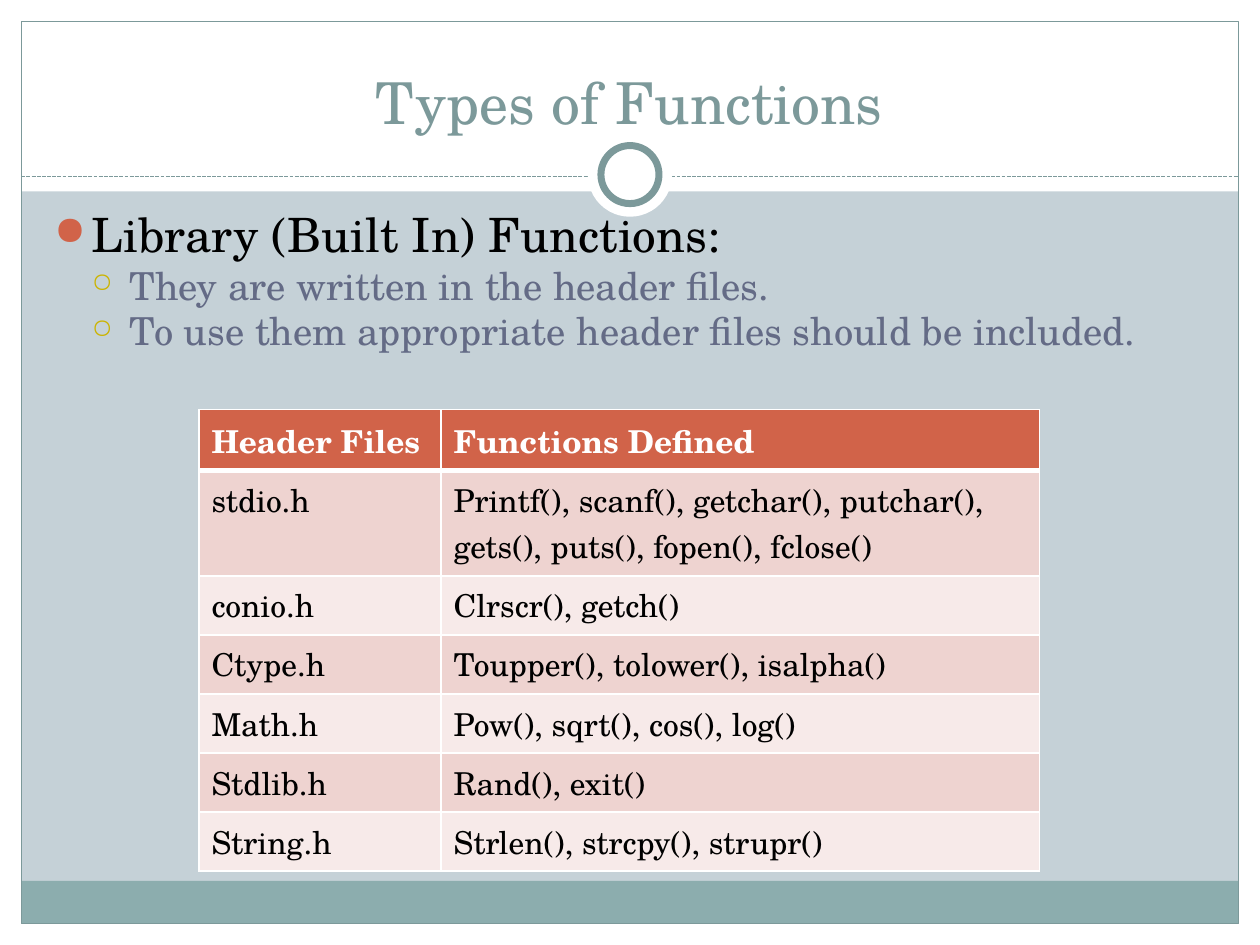
from lxml.etree import SubElement
from pptx import Presentation
from pptx.dml.color import RGBColor
from pptx.enum.dml import MSO_LINE
from pptx.enum.shapes import MSO_CONNECTOR, MSO_SHAPE as Shape
from pptx.enum.text import MSO_ANCHOR, PP_ALIGN
from pptx.oxml import parse_xml
from pptx.oxml.ns import nsdecls, qn
from pptx.util import Cm, Pt

FACE = "TeX Gyre Schola"
WHITE = RGBColor(0xFF, 0xFF, 0xFF)
BLACK = RGBColor(0, 0, 0)
BACK = RGBColor(0xC5, 0xD1, 0xD7)
TEAL = RGBColor(0x7C, 0x99, 0x9A)
FOOT = RGBColor(0x8C, 0xAD, 0xAE)
RUST = RGBColor(0xD1, 0x63, 0x49)
GOLD = RGBColor(0xCC, 0xB4, 0x00)
SLATE = RGBColor(0x64, 0x6B, 0x86)
BANDS = RGBColor(0xEE, 0xD3, 0xD0), RGBColor(0xF7, 0xEA, 0xE9)

WIDE, HIGH = 25.4, 19.05
EDGE = 0.43
POINTS = [
    (0, "Library (Built In) Functions:"),
    (1, "They are written in the header files."),
    (1, "To use them appropriate header files should be included."),
]
LEVELS = [  # bullet, its colour, its size in percent, text size, text colour
    ("●", RUST, 85, 27, BLACK),
    ("○", GOLD, 70, 22, SLATE),
]
ROWS = [
    ("Header Files", "Functions Defined"),
    ("stdio.h", "Printf(), scanf(), getchar(), putchar(), gets(), puts(), fopen(), fclose()"),
    ("conio.h", "Clrscr(), getch()"),
    ("Ctype.h", "Toupper(), tolower(), isalpha()"),
    ("Math.h", "Pow(), sqrt(), cos(), log()"),
    ("Stdlib.h", "Rand(), exit()"),
    ("String.h", "Strlen(), strcpy(), strupr()"),
]


def lengths(*nums):
    return [Cm(n) for n in nums]


def style(para, size, color, bold=False):
    font = para.font
    font.name, font.size, font.bold = FACE, Pt(size), bold
    font.color.rgb = color


def block(slide, kind, box, fill=None, line=None, width=0.75):
    shape = slide.shapes.add_shape(kind, *lengths(*box))
    shape.shadow.inherit = False
    if fill is None:
        shape.fill.background()
    else:
        shape.fill.solid()
        shape.fill.fore_color.rgb = fill
    if line is None:
        shape.line.fill.background()
    else:
        shape.line.color.rgb = line
        shape.line.width = Pt(width)


def add_frame(slide, box):
    """White margins, foot band and outline."""
    x, y, w, h = box
    right, low = x + w - EDGE, y + h - EDGE
    for part in [(x, low, w, EDGE), (x, y, w, 3.86),
                 (x, y, EDGE, h), (right, y, EDGE, h)]:
        block(slide, Shape.RECTANGLE, part, WHITE)
    inner = w - 2 * EDGE
    block(slide, Shape.RECTANGLE, (x + EDGE, low - 0.86, inner, 0.86), FOOT)
    block(slide, Shape.RECTANGLE,
          (x + EDGE, y + EDGE, inner, h - 2 * EDGE), line=TEAL)


def add_rule(slide, box):
    """Dashed rule with a ring at its middle."""
    x, y, w, h = box
    mid = y + h / 2
    rule = slide.shapes.add_connector(
        MSO_CONNECTOR.STRAIGHT, *lengths(x, mid + 0.04, x + w, mid + 0.04))
    rule.line.color.rgb = TEAL
    rule.line.width = Pt(0.75)
    rule.line.dash_style = MSO_LINE.SQUARE_DOT
    SubElement(rule.element.spPr, qn("a:effectLst"))
    for size, line in [(h, None), (1.17, TEAL)]:
        spot = (x + (w - size) / 2, mid - size / 2, size, size)
        block(slide, Shape.OVAL, spot, WHITE, line, 4)


def set_title(slide, box, text):
    title = slide.shapes.title
    title.left, title.top, title.width, title.height = lengths(*box)
    title.element.getparent().append(title.element)  # in front of the frame
    frame = title.text_frame
    frame.text = text
    frame.vertical_anchor = MSO_ANCHOR.BOTTOM
    frame.margin_bottom = 0
    para = frame.paragraphs[0]
    para.alignment = PP_ALIGN.CENTER
    style(para, 33, TEAL)


def add_points(slide, box):
    frame = slide.shapes.add_textbox(*lengths(*box)).text_frame
    frame.word_wrap = True
    for i, (level, text) in enumerate(POINTS):
        para = frame.add_paragraph() if i else frame.paragraphs[0]
        para.text, para.level = text, level
        para.line_spacing, para.space_before = 0.8, Pt(5)
        mark, tint, scale, size, color = LEVELS[level]
        props = para._p.get_or_add_pPr()
        props.set("marL", str(Cm(0.76 * (level + 1))))
        props.set("indent", str(-Cm(0.76)))
        SubElement(SubElement(props, qn("a:buClr")), qn("a:srgbClr"), val=str(tint))
        SubElement(props, qn("a:buSzPct"), val=str(scale * 1000))
        SubElement(props, qn("a:buChar"), char=mark)
        style(para, size, color)


def set_borders(cell, top, bottom):
    props = cell._tc.get_or_add_tcPr()
    for i, (side, width) in enumerate(zip("LRTB", (1, 1, top, bottom))):
        props.insert(i, parse_xml(
            f'<a:ln{side} {nsdecls("a")} w="{Pt(width)}"><a:solidFill>'
            f'<a:srgbClr val="{WHITE}"/></a:solidFill></a:ln{side}>'))


def add_grid(slide, box):
    x, y, w, h = box
    table = slide.shapes.add_table(len(ROWS), 2, *lengths(*box)).table
    table.columns[0].width, table.columns[1].width = lengths(4.88, w - 4.88)
    head, tall = 1.22, 2.13
    rest = (h - head - tall) / (len(ROWS) - 2)
    for r, texts in enumerate(ROWS):
        table.rows[r].height = Cm((head, tall)[r] if r < 2 else rest)
        for c, text in enumerate(texts):
            cell = table.cell(r, c)
            cell.text = text
            cell.fill.solid()
            cell.fill.fore_color.rgb = BANDS[(r - 1) % 2] if r else RUST
            style(cell.text_frame.paragraphs[0], 18, BLACK if r else WHITE, not r)
            set_borders(cell, 3 if r == 1 else 1, 1 if r else 3)


def main():
    deck = Presentation()
    deck.slide_width, deck.slide_height = lengths(WIDE, HIGH)
    slide = deck.slides.add_slide(deck.slide_layouts[5])
    slide.background.fill.solid()
    slide.background.fill.fore_color.rgb = BACK
    add_frame(slide, (0, 0, WIDE, HIGH))
    add_rule(slide, (EDGE, 2.67, WIDE - 2 * EDGE, 1.7))
    set_title(slide, (0.84, 0.64, 23.7, 2.11), "Types of Functions")
    add_points(slide, (0.84, 4.24, 23.62, 12.7))
    add_grid(slide, (4.01, 8.26, 16.94, 9.3))
    deck.save("out.pptx")


if __name__ == "__main__":
    main()
